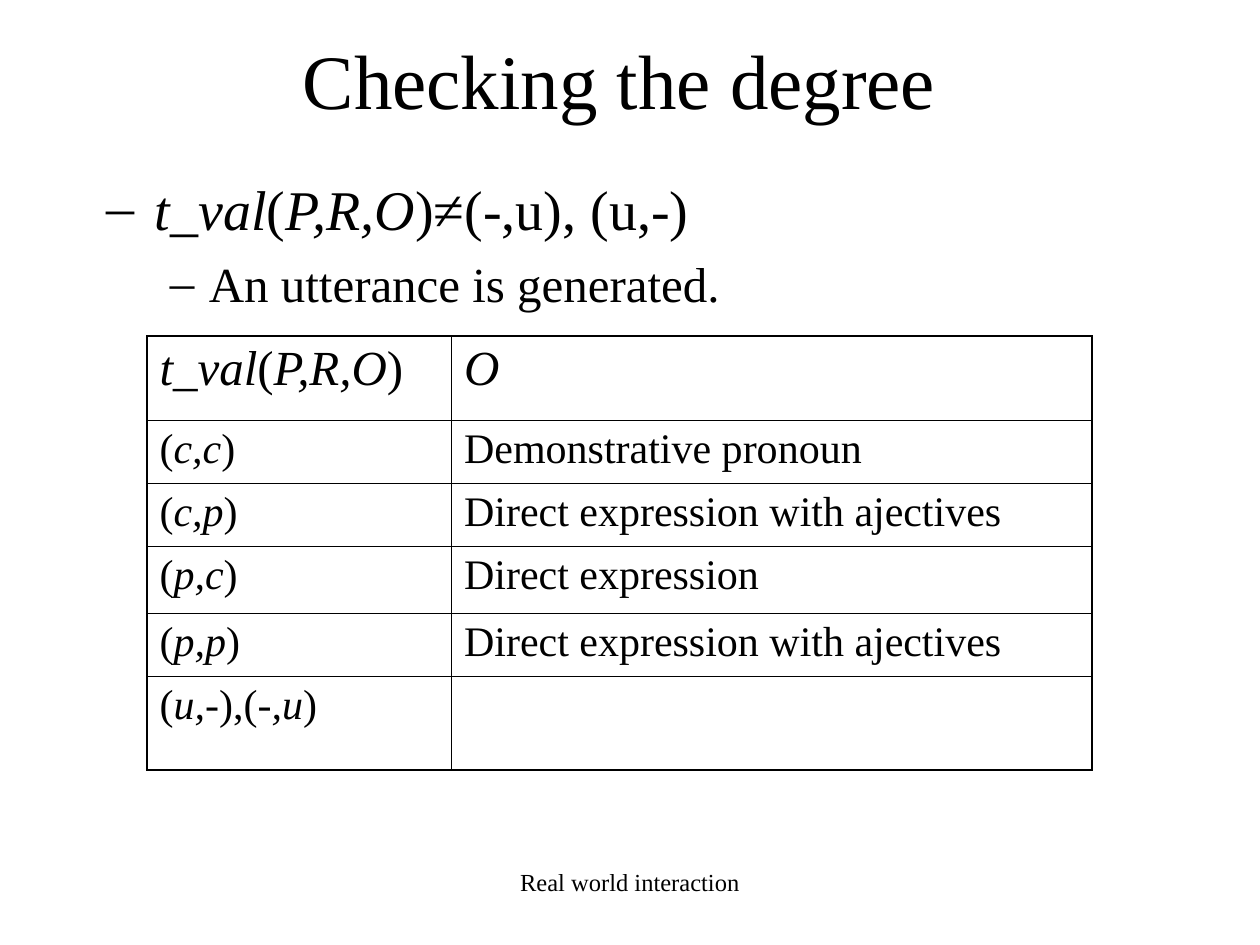
from lxml import etree
from pptx import Presentation
from pptx.dml.color import RGBColor
from pptx.enum.text import MSO_ANCHOR, PP_ALIGN
from pptx.oxml.ns import qn
from pptx.util import Inches, Pt

CENTER, LEFT = PP_ALIGN.CENTER, PP_ALIGN.LEFT
MIDDLE, TOP = MSO_ANCHOR.MIDDLE, MSO_ANCHOR.TOP
TITLE_ONLY = 5
SLIDE_WIDTH, SLIDE_HEIGHT = Inches(10), Inches(7.5)
GRID_COLUMNS, GRID_ROWS = 120, 90
FONT = "Times New Roman"
BLACK = "000000"
THIN, THICK = 0.45, 1.08

DEGREE_ROWS = [
    ("*t_val*(*P,R,O*)", "*O*"),
    ("(*c,c*)", "Demonstrative pronoun"),
    ("(*c,p*)", "Direct expression with ajectives"),
    ("(*p,c*)", "Direct expression"),
    ("(*p,p*)", "Direct expression with ajectives"),
    ("(*u,-*),(*-,u*)", ""),
]
DEGREE_WIDTHS = (29, 61)
DEGREE_HEIGHTS = (8, 6, 6, 6.4, 6, 8.9)


def color(hex_value):
    return RGBColor.from_string(hex_value)


def across(columns):
    return round(SLIDE_WIDTH * columns / GRID_COLUMNS)


def down(rows):
    return round(SLIDE_HEIGHT * rows / GRID_ROWS)


def grid_box(left, top, width, height):
    return across(left), down(top), across(width), down(height)


def write(paragraph, text, size, align=LEFT, before=0, bullet=None, indent=0, hang=0):
    if bullet:
        properties = paragraph._p.get_or_add_pPr()
        properties.set("marL", str(Inches(indent)))
        properties.set("indent", str(-Inches(hang)))
        etree.SubElement(properties, qn("a:buFont"), typeface=FONT)
        etree.SubElement(properties, qn("a:buChar"), char=bullet)
    paragraph.alignment = align
    paragraph.space_before = Pt(before)
    for position, part in enumerate(text.split("*")):
        if part:
            run = paragraph.add_run()
            run.text = part
            run.font.name = FONT
            run.font.size = Pt(size)
            run.font.italic = position % 2 == 1
            run.font.color.rgb = color(BLACK)


def add_frame(slide, box):
    frame = slide.shapes.add_textbox(*box).text_frame
    frame.word_wrap = True
    return frame


def place_title(slide, box):
    title = slide.shapes.title
    title.left, title.top, title.width, title.height = box
    title.text_frame.vertical_anchor = MIDDLE
    write(title.text_frame.paragraphs[0], "Checking the degree", 44, align=CENTER)


def place_condition(slide, box):
    frame = add_frame(slide, box)
    write(frame.paragraphs[0], "*t_val*(*P,R,O*)≠(-,u), (u,-)", 32,
          bullet="–", indent=0.38, hang=0.38)
    result = frame.add_paragraph()
    result.level = 1
    write(result, "An utterance is generated.", 28,
          before=7, bullet="–", indent=0.81, hang=0.31)


def outline_cell(cell, widths):
    properties = cell._tc.get_or_add_tcPr()
    for side, width in widths.items():
        line = etree.SubElement(properties, qn(f"a:ln{side}"), w=str(Pt(width)))
        fill = etree.SubElement(line, qn("a:solidFill"))
        etree.SubElement(fill, qn("a:srgbClr"), val=BLACK)


def place_degree_table(slide, box):
    last_row, last_column = len(DEGREE_ROWS) - 1, len(DEGREE_WIDTHS) - 1
    table = slide.shapes.add_table(last_row + 1, last_column + 1, *box).table
    table.first_row = table.horz_banding = False
    for column, width in zip(table.columns, DEGREE_WIDTHS):
        column.width = across(width)
    for row, height in zip(table.rows, DEGREE_HEIGHTS):
        row.height = down(height)
    for r, entries in enumerate(DEGREE_ROWS):
        for c, entry in enumerate(entries):
            cell = table.cell(r, c)
            outline_cell(cell, {
                "L": THICK if c == 0 else THIN,
                "R": THICK if c == last_column else THIN,
                "T": THICK if r == 0 else THIN,
                "B": THICK if r == last_row else THIN,
            })
            cell.fill.background()
            cell.vertical_anchor = TOP
            write(cell.text_frame.paragraphs[0], entry, 28 if r == 0 else 24)


def place_footer(slide, box):
    frame = add_frame(slide, box)
    write(frame.paragraphs[0], "Real world interaction", 14, align=CENTER)


def main():
    deck = Presentation()
    deck.slide_width, deck.slide_height = SLIDE_WIDTH, SLIDE_HEIGHT
    slide = deck.slides.add_slide(deck.slide_layouts[TITLE_ONLY])
    place_title(slide, grid_box(8, 0, 102, 15))
    place_condition(slide, grid_box(9, 16, 102, 54))
    place_degree_table(slide, grid_box(14, 32, sum(DEGREE_WIDTHS), sum(DEGREE_HEIGHTS)))
    place_footer(slide, grid_box(41, 82, 38, 6))
    deck.save("out.pptx")


if __name__ == "__main__":
    main()
